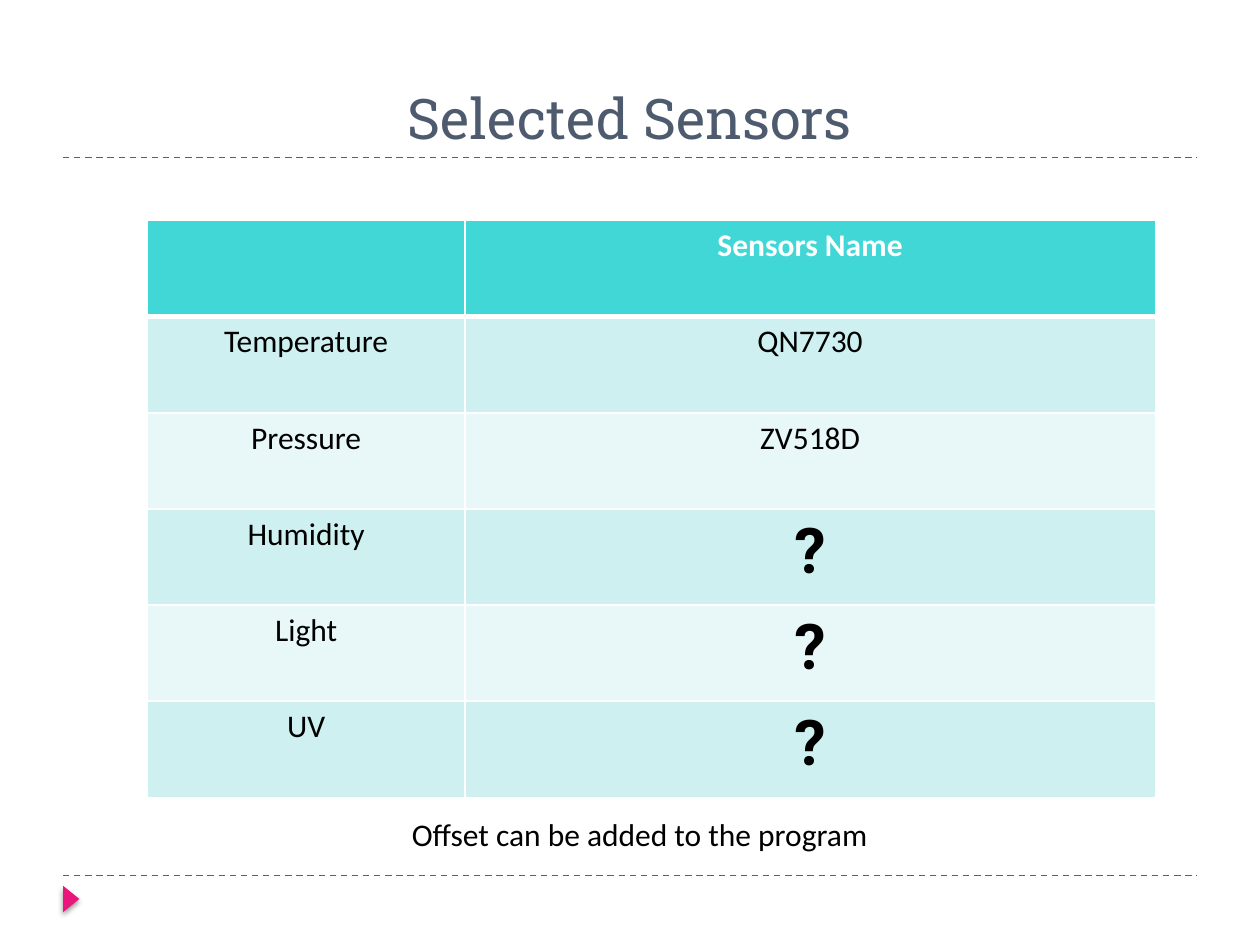
"""Builds the Selected Sensors slide with a title, a table and a closing note."""
from lxml import etree
from pptx import Presentation
from pptx.dml.color import RGBColor
from pptx.enum.dml import MSO_LINE
from pptx.enum.shapes import MSO_CONNECTOR, MSO_SHAPE
from pptx.enum.text import MSO_ANCHOR, PP_ALIGN
from pptx.oxml import parse_xml
from pptx.oxml.ns import nsdecls, qn
from pptx.util import Inches, Pt

DASH = MSO_LINE.DASH
LINE = MSO_CONNECTOR.STRAIGHT
ARROW = MSO_SHAPE.ISOSCELES_TRIANGLE
BOTTOM = MSO_ANCHOR.BOTTOM
LEFT, CENTER = PP_ALIGN.LEFT, PP_ALIGN.CENTER

HEX = {"pink": "EA157A", "slate": "4E5B6F", "teal": "41D7D7",
       "mid": "CEF0F0", "pale": "E8F7F7", "white": "FFFFFF", "black": "000000"}
ROWS = [("", "Sensors Name"), ("Temperature", "QN7730"), ("Pressure", "ZV518D"),
        ("Humidity", "?"), ("Light", "?"), ("UV", "?")]


def color(name):
    return RGBColor.from_string(HEX[name])


def write(frame, text, size, face, tint, align=CENTER, bold=False):
    para = frame.paragraphs[0]
    para.alignment = align
    run = para.add_run()
    run.text = text
    run.font.size = Pt(size)
    run.font.name = face
    run.font.bold = bold
    run.font.color.rgb = color(tint)


deck = Presentation()
deck.slide_width, deck.slide_height = Inches(10), Inches(7.5)
slide = deck.slides.add_slide(deck.slide_layouts[5])
shapes = slide.shapes

for y in (6.95, 1.25):
    rule = shapes.add_connector(LINE, Inches(0.5), Inches(y), Inches(9.5), Inches(y))
    rule.line.color.rgb = color("pink")
    rule.line.width = Pt(0.9)
    rule.line.dash_style = DASH
    etree.SubElement(rule._element.spPr, qn("a:effectLst"))

arrow = shapes.add_shape(ARROW, Inches(0.46), Inches(7.07), Inches(0.21), Inches(0.13))
arrow.rotation = 90
arrow.fill.solid()
arrow.fill.fore_color.rgb = color("pink")
arrow.line.fill.background()
arrow._element.spPr.append(parse_xml(
    f'<a:effectLst {nsdecls("a")}><a:outerShdw blurRad="{Pt(3)}" dist="{Pt(2)}" '
    'dir="5400000" rotWithShape="0"><a:srgbClr val="000000"><a:alpha val="40000"/>'
    '</a:srgbClr></a:outerShdw></a:effectLst>'))

title = shapes.title
title.left, title.top = Inches(0.5), Inches(0.17)
title.width, title.height = Inches(9), Inches(1.08)
title.text_frame.vertical_anchor = BOTTOM
write(title.text_frame, "Selected Sensors", 32, "Roboto Slab", "slate")

grid = shapes.add_table(len(ROWS), 2, Inches(1.17), Inches(1.75),
                        Inches(8), Inches(4.58)).table
grid.columns[0].width, grid.columns[1].width = Inches(2.52), Inches(5.48)
for r, row in enumerate(ROWS):
    fill = "teal" if r == 0 else "mid" if r % 2 else "pale"
    tint = "white" if r == 0 else "black"
    for c, text in enumerate(row):
        cell = grid.cell(r, c)
        cell.fill.solid()
        cell.fill.fore_color.rgb = color(fill)
        size, face = (36, "Roboto") if text == "?" else (18, "Calibri")
        if text:
            write(cell.text_frame, text, size, face, tint, bold=r == 0 or text == "?")
        props = cell._tc.get_or_add_tcPr()
        for i, side in enumerate("LRTB"):
            thick = (r, side) in ((0, "B"), (1, "T"))
            props.insert(i, parse_xml(
                f'<a:ln{side} {nsdecls("a")} w="{Pt(3 if thick else 0.96)}"><a:solidFill>'
                f'<a:srgbClr val="{HEX["white"]}"/></a:solidFill></a:ln{side}>'))

note = shapes.add_textbox(Inches(3.17), Inches(6.42), Inches(4.5), Inches(0.7))
note.text_frame.word_wrap = True
write(note.text_frame, "Offset can be added to the program", 18, "Calibri", "black", LEFT)

deck.save("out.pptx")
